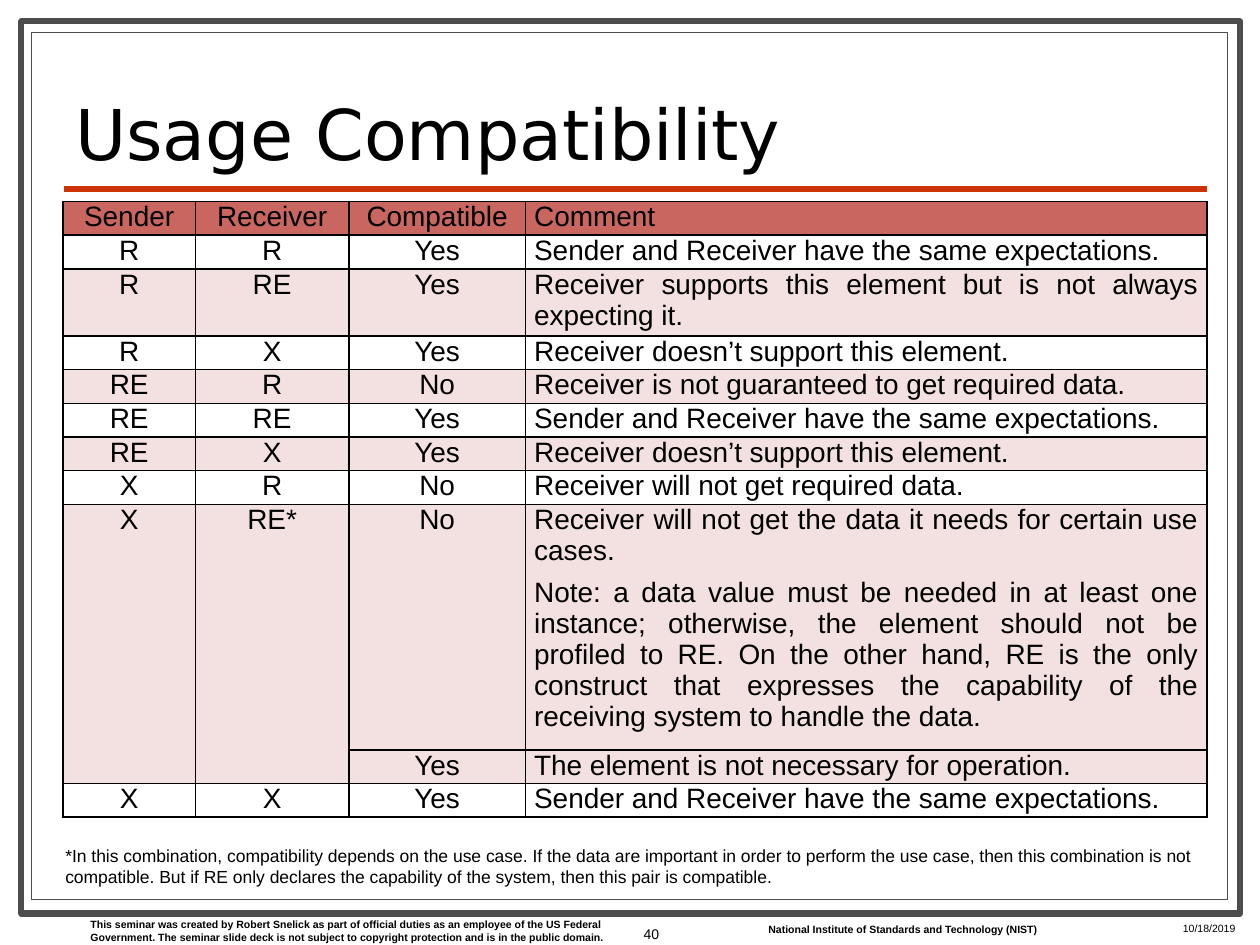
from dataclasses import dataclass

from lxml.etree import SubElement
from pptx import Presentation
from pptx.dml.color import RGBColor as RGB
from pptx.enum.shapes import MSO_CONNECTOR as Conn, MSO_SHAPE as Shape
from pptx.enum.text import MSO_ANCHOR as Anchor, PP_ALIGN as Align
from pptx.oxml.ns import qn
from pptx.util import Inches, Pt


@dataclass(frozen=True)
class Theme:
    ink: str = "000000"
    paper: str = "FFFFFF"
    frame: str = "4D4D4D"
    rule: str = "CC3300"
    head: str = "C96660"
    band: str = "F3E1E1"
    sans: str = "Arial"
    display: str = "DejaVu Sans"
    title: int = 40
    body: int = 16
    note: int = 10
    page: int = 8
    foot: int = 6


THEME = Theme()
COLS = (1.05, 1.22, 1.4, 5.41)
LINE = 0.24
SAME = "Sender and Receiver have the same expectations."
UNSUPPORTED = "Receiver doesn’t support this element."

# Each row: sender, receiver, compatible, comment paragraphs.
# None continues the cell above.
ROWS = (
    ("Sender", "Receiver", "Compatible", "Comment"),
    ("R", "R", "Yes", SAME),
    ("R", "RE", "Yes", "Receiver supports this element but is not always expecting it."),
    ("R", "X", "Yes", UNSUPPORTED),
    ("RE", "R", "No", "Receiver is not guaranteed to get required data."),
    ("RE", "RE", "Yes", SAME),
    ("RE", "X", "Yes", UNSUPPORTED),
    ("X", "R", "No", "Receiver will not get required data."),
    ("X", "RE*", "No",
     "Receiver will not get the data it needs for certain use cases.\n"
     "Note: a data value must be needed in at least one instance; otherwise, "
     "the element should not be profiled to RE. On the other hand, RE is the "
     "only construct that expresses the capability of the receiving system "
     "to handle the data."),
    (None, None, "Yes", "The element is not necessary for operation."),
    ("X", "X", "Yes", SAME),
)
BANDED = (2, 4, 6, 8, 9)


def color(code):
    return RGB.from_string(code)


def add_run(para, text, size, font=THEME.sans, bold=False):
    run = para.add_run()
    run.text = text
    run.font.size = Pt(size)
    run.font.name = font
    run.font.bold = bold
    run.font.color.rgb = color(THEME.ink)


def add_frame(slide, box, width):
    shape = slide.shapes.add_shape(Shape.RECTANGLE, *map(Inches, box))
    shape.shadow.inherit = False
    shape.fill.solid()
    shape.fill.fore_color.rgb = color(THEME.paper)
    shape.line.color.rgb = color(THEME.frame)
    shape.line.width = Pt(width)


def add_rule(slide, left, right, top):
    line = slide.shapes.add_connector(
        Conn.STRAIGHT, Inches(left), Inches(top), Inches(right), Inches(top))
    line.line.color.rgb = color(THEME.rule)
    line.line.width = Pt(3)
    SubElement(line._element.spPr, qn("a:effectLst"))


def add_text(slide, box, text, size, anchor=Anchor.TOP, align=Align.LEFT,
             spacing=None, **style):
    frame = slide.shapes.add_textbox(*map(Inches, box)).text_frame
    frame.word_wrap = True
    frame.vertical_anchor = anchor
    para = frame.paragraphs[0]
    para.alignment = align
    para.line_spacing = spacing
    add_run(para, text, size, **style)


def add_borders(cell):
    props = cell._tc.get_or_add_tcPr()
    for side in "LRTB":
        line = SubElement(props, qn(f"a:ln{side}"), w=str(Pt(1)))
        fill = SubElement(line, qn("a:solidFill"))
        SubElement(fill, qn("a:srgbClr"), val=THEME.ink)


def fill_cell(cell, text, align, shade):
    cell.margin_left = cell.margin_right = Inches(0.07)
    cell.margin_top = cell.margin_bottom = 0
    add_borders(cell)
    if shade:
        cell.fill.solid()
        cell.fill.fore_color.rgb = color(shade)
    else:
        cell.fill.background()
    if text is None:
        return
    frame = cell.text_frame
    for i, part in enumerate(text.split("\n")):
        para = frame.add_paragraph() if i else frame.paragraphs[0]
        para.alignment = align
        if i:
            para.space_before = Pt(3)
        para.space_after = Pt(3)
        add_run(para, part, THEME.body)


def row_shade(r):
    if r == 0:
        return THEME.head
    return THEME.band if r in BANDED else None


def add_grid(slide, left, top):
    table = slide.shapes.add_table(
        len(ROWS), len(COLS), Inches(left), Inches(top),
        Inches(sum(COLS)), Inches(LINE * len(ROWS))).table
    table.horz_banding = False
    table.first_row = False
    for col, width in zip(table.columns, COLS):
        col.width = Inches(width)
    for r, row in enumerate(ROWS):
        table.rows[r].height = Inches(LINE)
        for c, text in enumerate(row):
            align = Align.JUSTIFY if c == len(COLS) - 1 else Align.CENTER
            fill_cell(table.cell(r, c), text, align, row_shade(r))
    for r, row in enumerate(ROWS):
        for c, text in enumerate(row):
            if text is None:
                table.cell(r - 1, c).merge(table.cell(r, c))


def main():
    deck = Presentation()
    deck.slide_width, deck.slide_height = Inches(10), Inches(7.5)
    slide = deck.slides.add_slide(deck.slide_layouts[6])

    add_frame(slide, (0.17, 0.17, 9.67, 7.08), 3.5)
    add_frame(slide, (0.25, 0.26, 9.49, 6.88), 0.75)
    add_rule(slide, 0.51, 9.58, 1.5)
    add_text(slide, (0.62, 7.24, 4.33, 0.3),
             "This seminar was created by Robert Snelick as part of official "
             "duties as an employee of the US Federal Government. The seminar "
             "slide deck is not subject to copyright protection and is in the "
             "public domain.", THEME.foot, bold=True)
    add_text(slide, (6, 7.28, 2.38, 0.2),
             "National Institute of Standards and Technology (NIST)",
             THEME.foot, bold=True)
    add_text(slide, (0.5, 0.53, 8.92, 0.9), "Usage Compatibility", THEME.title,
             anchor=Anchor.BOTTOM, spacing=0.8, font=THEME.display)
    add_text(slide, (9.29, 7.27, 0.63, 0.16), "10/18/2019", THEME.foot)
    add_text(slide, (4.75, 7.15, 0.58, 0.52), "40", THEME.page,
             anchor=Anchor.MIDDLE, align=Align.RIGHT)
    add_grid(slide, 0.5, 1.6)
    add_text(slide, (0.42, 6.66, 9.17, 0.44),
             "*In this combination, compatibility depends on the use case. If "
             "the data are important in order to perform the use case, then "
             "this combination is not compatible. But if RE only declares the "
             "capability of the system, then this pair is compatible.",
             THEME.note)

    deck.save("out.pptx")


if __name__ == "__main__":
    main()
